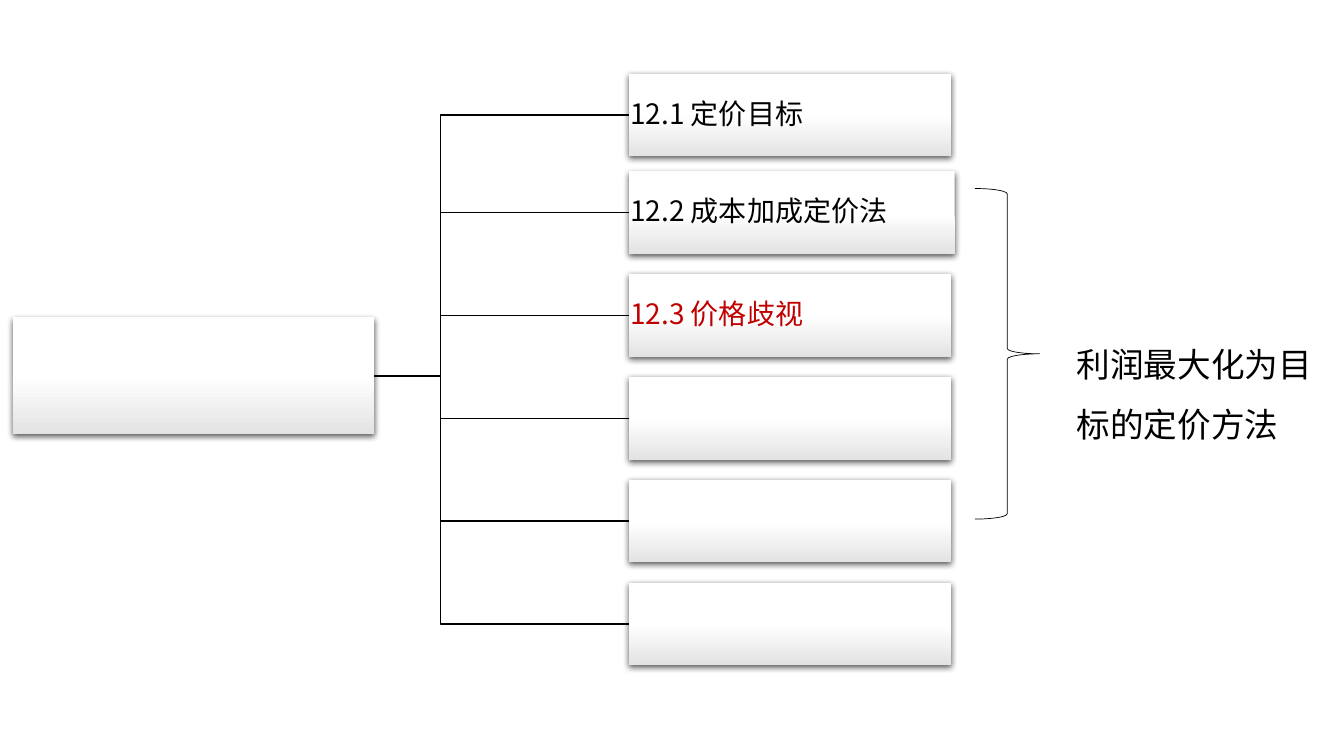
from lxml import etree
from pptx import Presentation
from pptx.dml.color import RGBColor
from pptx.enum.shapes import MSO_SHAPE
from pptx.enum.text import MSO_ANCHOR, PP_ALIGN
from pptx.oxml.ns import qn
from pptx.util import Inches, Pt

RECT, BRACE = MSO_SHAPE.RECTANGLE, MSO_SHAPE.RIGHT_BRACE
MIDDLE, LEFT = MSO_ANCHOR.MIDDLE, PP_ALIGN.LEFT
FONT = "Noto Sans CJK SC"
BLACK, RED, WHITE, GREY = "000000", "C00000", "FFFFFF", "E3E3E3"

# Topic boxes: label, colour, width
TOPICS = [
    ("12.1 定价目标", BLACK, 3.19),
    ("12.2 成本加成定价法", BLACK, 3.23),
    ("12.3 价格歧视", RED, 3.19),
    ("", BLACK, 3.19),
    ("", BLACK, 3.19),
    ("", BLACK, 3.19),
]
TOPIC_X, TOPIC_H = 6.24, 0.82
TOPS = [0.73] + [1.7 + 1.02 * i for i in range(5)]
ROOT = (0.13, 3.15, 3.58, 1.16)
HUB_X, SPINE_X, HUB_Y = 2.5, 4.37, 3.73


def color(code):
    return RGBColor.from_string(code)


def add_link(slide, y):
    """Elbow line from the root to a topic at height y."""
    points = [(SPINE_X, HUB_Y), (SPINE_X, y), (TOPIC_X, y)]
    path = slide.shapes.build_freeform(Inches(HUB_X), Inches(HUB_Y))
    path.add_line_segments([(Inches(a), Inches(b)) for a, b in points], close=False)
    link = path.convert_to_shape()
    link.shadow.inherit = False
    link.fill.background()
    link.line.color.rgb = color(BLACK)
    link.line.width = Pt(1)


def add_shadow(shape):
    shape.shadow.inherit = False
    effects = shape._element.spPr.find(qn("a:effectLst"))
    outer = etree.SubElement(effects, qn("a:outerShdw"), blurRad="57150",
                             dist="19050", dir="5400000", algn="ctr", rotWithShape="0")
    tint = etree.SubElement(outer, qn("a:srgbClr"), val=BLACK)
    etree.SubElement(tint, qn("a:alpha"), val="63000")


def set_text(frame, text, size, code, spacing):
    frame.word_wrap = True
    frame.text = text
    para = frame.paragraphs[0]
    para.alignment = LEFT
    para.line_spacing = spacing
    for run in para.runs:
        run.font.size = Pt(size)
        run.font.name = FONT
        run.font.color.rgb = color(code)
        etree.SubElement(run.font._element, qn("a:ea"), typeface=FONT)
    return para


def add_box(slide, left, top, width, height):
    """Borderless box that fades from white to grey in its lower half."""
    box = slide.shapes.add_shape(RECT, Inches(left), Inches(top),
                                 Inches(width), Inches(height))
    box.fill.gradient()
    box.fill.gradient_angle = 270
    for stop, place, code in zip(box.fill.gradient_stops, (0.5, 1), (WHITE, GREY)):
        stop.position = place
        stop.color.rgb = color(code)
    box.line.fill.background()
    add_shadow(box)
    return box


def add_topic(slide, top, label, code, width):
    box = add_box(slide, TOPIC_X, top, width, TOPIC_H)
    if label:
        frame = box.text_frame
        frame.margin_left = frame.margin_right = Inches(0.01)
        frame.margin_top = frame.margin_bottom = Inches(0.01)
        frame.vertical_anchor = MIDDLE
        set_text(frame, label, 20, code, 0.9).space_after = Pt(7)


def add_brace(slide):
    brace = slide.shapes.add_shape(BRACE, Inches(9.67), Inches(1.87),
                                   Inches(0.64), Inches(3.28))
    brace.shadow.inherit = False
    brace.fill.background()
    brace.line.color.rgb = color(BLACK)
    brace.line.width = Pt(0.5)


def add_note(slide, text):
    note = slide.shapes.add_textbox(Inches(10.58), Inches(3.16),
                                    Inches(2.76), Inches(1.31))
    set_text(note.text_frame, text, 24, BLACK, 1.5)


def main():
    deck = Presentation()
    deck.slide_width, deck.slide_height = Inches(13.33), Inches(7.5)
    slide = deck.slides.add_slide(deck.slide_layouts[6])

    # Tree: links lie behind the boxes
    for top in reversed(TOPS):
        add_link(slide, top + TOPIC_H / 2)
    add_box(slide, *ROOT)
    for top, topic in zip(TOPS, TOPICS):
        add_topic(slide, top, *topic)

    # Brace and its note
    add_brace(slide)
    add_note(slide, "利润最大化为目标的定价方法")

    deck.save("out.pptx")


if __name__ == "__main__":
    main()
